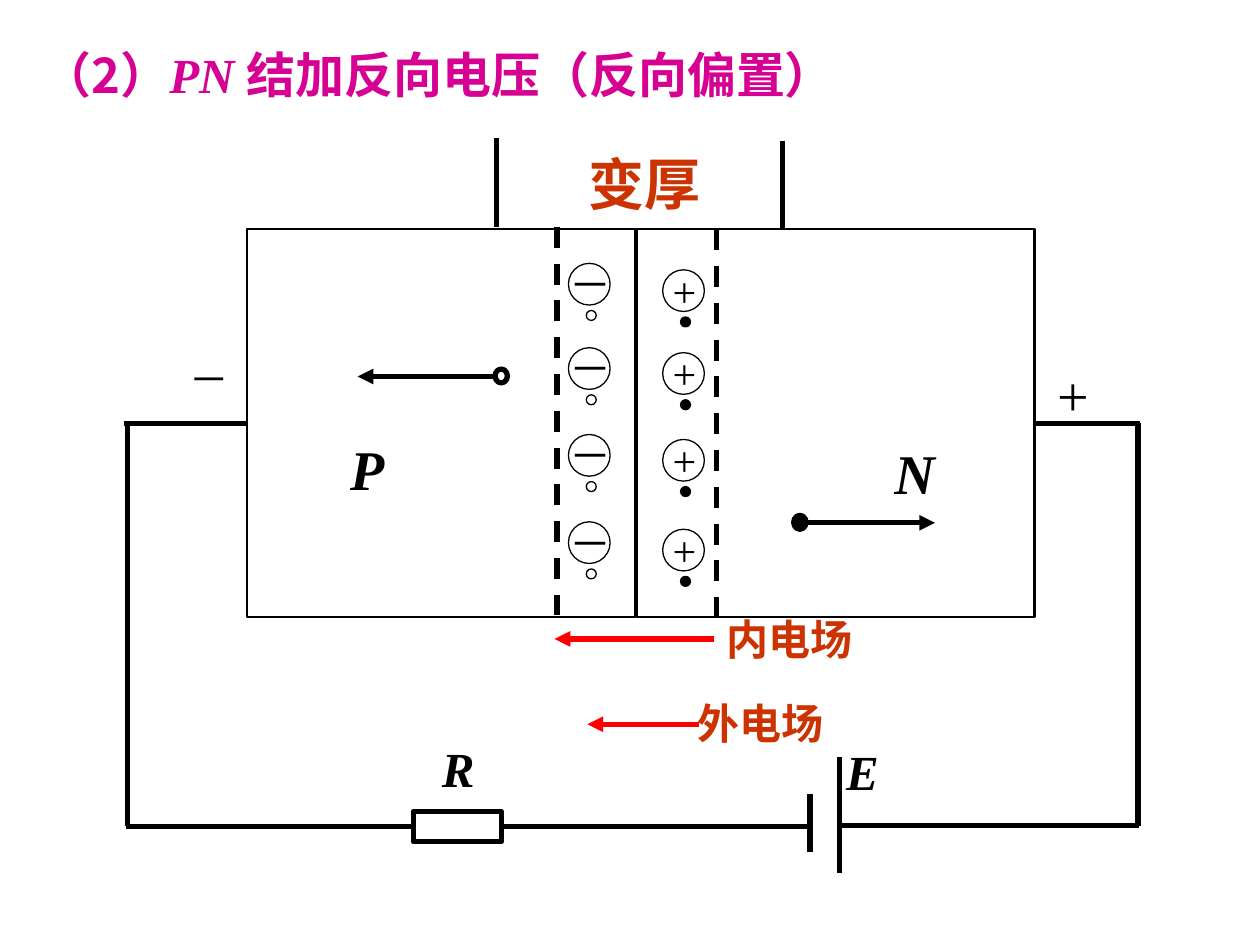
"""Build the slide showing a PN junction under reverse bias."""
from lxml import etree
from pptx import Presentation
from pptx.dml.color import RGBColor
from pptx.enum.dml import MSO_LINE
from pptx.enum.shapes import MSO_CONNECTOR, MSO_SHAPE
from pptx.enum.text import MSO_ANCHOR, MSO_AUTO_SIZE
from pptx.oxml.ns import qn
from pptx.util import Cm, Pt

OVAL, RECTANGLE = MSO_SHAPE.OVAL, MSO_SHAPE.RECTANGLE
STRAIGHT = MSO_CONNECTOR.STRAIGHT
DASH = MSO_LINE.DASH
TOP, MIDDLE = MSO_ANCHOR.TOP, MSO_ANCHOR.MIDDLE
FIT = MSO_AUTO_SIZE.SHAPE_TO_FIT_TEXT

BLACK = RGBColor(0x00, 0x00, 0x00)
WHITE = RGBColor(0xFF, 0xFF, 0xFF)
RED = RGBColor(0xFF, 0x00, 0x00)
ORANGE = RGBColor(0xCC, 0x33, 0x00)
MAGENTA = RGBColor(0xD6, 0x00, 0x93)
LATIN_FONT, CHINESE_FONT = "Times New Roman", "Noto Sans CJK SC"

TITLE = [
    ("（2）", CHINESE_FONT, False),
    ("PN ", LATIN_FONT, True),
    ("结加反向电压（反向偏置）", CHINESE_FONT, False),
]
TITLE_BOX = (0.61, 0.76, 19.61, 1.45)

FIELD_LABELS = [
    ("内电场", (14.4, 12.24, 3.48, 1.27), 24),
    ("外电场", (13.82, 13.94, 3.38, 1.27), 24),
    ("变厚", (11.61, 2.87, 3.76, 1.63), 32),
]
SYMBOLS = [
    ("N", (17.78, 8.71, 1.93, 1.63), 32),
    ("P", (6.81, 8.64, 1.93, 1.63), 32),
    ("R", (8.66, 14.76, 1.22, 1.45), 28),
    ("E", (16.81, 14.83, 1.22, 1.45), 28),
]
POLES = [("+", (21.06, 7.14, 2.49, 1.63)), ("_", (3.68, 6.27, 2.49, 1.63))]

REGIONS = [(4.98, 4.62, 7.82, 7.82), (12.83, 4.62, 8.03, 7.82)]
RESISTOR = (8.33, 16.36, 1.78, 0.61)
CARRIERS = [((16, 10.39, 0.25, 0.28), BLACK), ((9.98, 7.44, 0.25, 0.28), None)]

ION_SIZE, DOT_SIZE = 0.84, 0.2
IONS = [
    ("－", 11.46, (5.31, 7.01, 8.76, 10.52), 0.23, 1.47, None),
    ("+", 13.36, (5.44, 7.11, 8.86, 10.67), 0.05, 1.07, BLACK),
]

FIELD_ARROWS = [(14.4, 12.88, 11.18, 12.88), (14.1, 14.6, 11.84, 14.6)]
CARRIER_ARROWS = [(16.26, 10.54, 18.85, 10.54), (9.98, 7.59, 7.21, 7.59)]
DASHED_EDGES = [(11.23, 4.57, 11.23, 12.4), (14.45, 4.62, 14.45, 12.45)]
MARKERS = [(10.01, 2.79, 10.01, 4.57), (15.77, 2.84, 15.77, 4.62)]
WIRES = [
    (2.49, 8.53, 4.98, 8.53),
    (2.57, 8.53, 2.57, 16.66),
    (20.85, 8.53, 22.99, 8.53),
    (22.94, 8.53, 22.94, 16.66),
    (2.54, 16.66, 16.36, 16.66),
    (16.89, 16.64, 22.96, 16.64),
]
BATTERY = [(16.92, 15.27, 16.92, 17.6), (16.33, 16, 16.33, 17.17)]


def lengths(values):
    return [Cm(value) for value in values]


def add_text(slide, box, runs, size, color, bold=False, anchor=TOP):
    frame = slide.shapes.add_textbox(*lengths(box)).text_frame
    frame.word_wrap = True
    frame.auto_size = FIT
    frame.vertical_anchor = anchor
    paragraph = frame.paragraphs[0]
    for text, font_name, italic in runs:
        run = paragraph.add_run()
        run.text = text
        font = run.font
        font.size, font.bold, font.italic = Pt(size), bold, italic
        font.color.rgb = color
        font.name = font_name
        east_asian = etree.SubElement(run._r.get_or_add_rPr(), qn("a:ea"))
        east_asian.set("typeface", CHINESE_FONT)


def add_figure(slide, kind, box, fill, width):
    shape = slide.shapes.add_shape(kind, *lengths(box))
    shape.shadow.inherit = False
    if fill is None:
        shape.fill.background()
    else:
        shape.fill.solid()
        shape.fill.fore_color.rgb = fill
    shape.line.color.rgb = BLACK
    shape.line.width = Pt(width)


def add_line(slide, ends, color=BLACK, arrow=False, dash=None):
    connector = slide.shapes.add_connector(STRAIGHT, *lengths(ends))
    connector.line.color.rgb = color
    connector.line.width = Pt(3)
    if dash is not None:
        connector.line.dash_style = dash
    if arrow:
        tail = etree.SubElement(connector.line._get_or_add_ln(), qn("a:tailEnd"))
        tail.set("type", "triangle")
    etree.SubElement(connector._element.spPr, qn("a:effectLst"))


def add_ions(slide):
    for sign, left, tops, shift, width, dot_fill in IONS:
        for top in tops:
            add_figure(slide, OVAL, (left, top, ION_SIZE, ION_SIZE), None, 0.75)
            add_text(slide, (left - shift, top - 0.22, width, 1.27),
                     [(sign, LATIN_FONT, False)], 24, BLACK)
            add_figure(slide, OVAL, (left + 0.36, top + 0.95, DOT_SIZE, DOT_SIZE),
                       dot_fill, 0.75)


def main():
    presentation = Presentation()
    presentation.slide_width, presentation.slide_height = Cm(25.4), Cm(19.05)
    slide = presentation.slides.add_slide(presentation.slide_layouts[6])

    add_text(slide, TITLE_BOX, TITLE, 28, MAGENTA, True, MIDDLE)
    for ends in FIELD_ARROWS:
        add_line(slide, ends, RED, arrow=True)
    for text, box, size in FIELD_LABELS:
        add_text(slide, box, [(text, LATIN_FONT, False)], size, ORANGE, True, MIDDLE)
    for box, fill in CARRIERS:
        add_figure(slide, OVAL, box, fill, 3)
    for ends in CARRIER_ARROWS:
        add_line(slide, ends, arrow=True)
    for box in REGIONS:
        add_figure(slide, RECTANGLE, box, None, 1.5)
    add_ions(slide)
    for ends in DASHED_EDGES:
        add_line(slide, ends, dash=DASH)
    for ends in MARKERS + WIRES + BATTERY:
        add_line(slide, ends)
    add_figure(slide, RECTANGLE, RESISTOR, WHITE, 3)
    for text, box, size in SYMBOLS:
        add_text(slide, box, [(text, LATIN_FONT, True)], size, BLACK, True)
    for text, box in POLES:
        add_text(slide, box, [(text, LATIN_FONT, False)], 32, BLACK)

    presentation.save("out.pptx")


if __name__ == "__main__":
    main()
